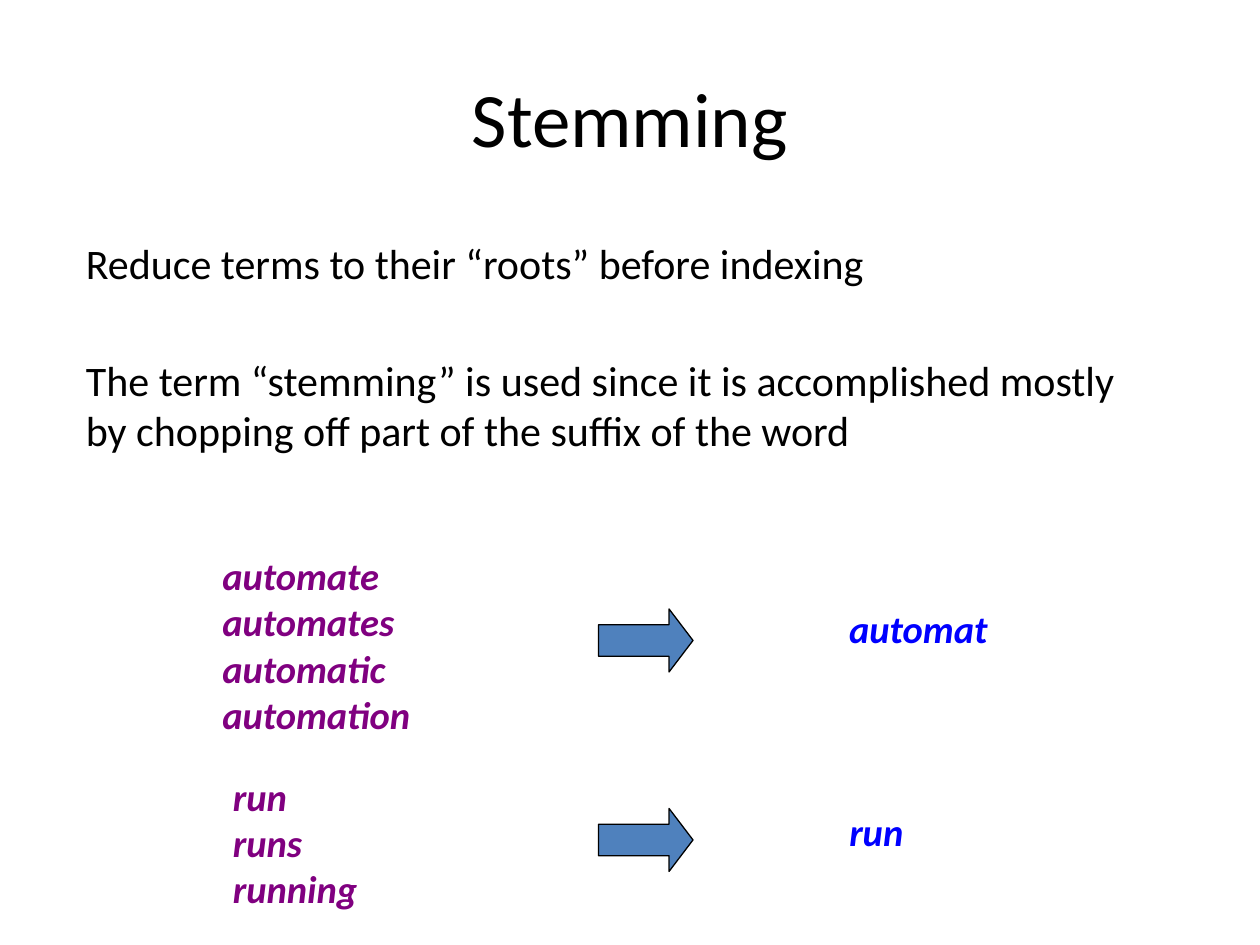
from pptx import Presentation
from pptx.dml.color import RGBColor
from pptx.enum.shapes import MSO_SHAPE
from pptx.enum.text import MSO_ANCHOR, PP_ALIGN
from pptx.util import Inches, Pt

RIGHT_ARROW = MSO_SHAPE.RIGHT_ARROW
LEFT, CENTER = PP_ALIGN.LEFT, PP_ALIGN.CENTER
TOP, MIDDLE = MSO_ANCHOR.TOP, MSO_ANCHOR.MIDDLE

FONT = "Calibri"
COLORS = {
    "text": "000000",
    "variant": "800080",
    "stem": "0000FF",
    "arrow": "4F81BD",
    "outline": "000000",
}
WIDTH, HEIGHT = Inches(10), Inches(7.5)
COLUMNS, ROWS = 120, 90

STATEMENTS = [
    "Reduce terms to their “roots” before indexing",
    "The term “stemming” is used since it is accomplished mostly "
    "by chopping off part of the suffix of the word",
]
EXAMPLES = [
    {
        "variants": ["automate", "automates", "automatic", "automation"],
        "variants_area": (20, 52, 24, 18.8),
        "arrow_row": 58,
        "stem": "automat",
        "stem_area": (79.7, 57, 18.2, 5.6),
    },
    {
        "variants": ["run", "runs", "running"],
        "variants_area": (21, 73, 17.4, 14.4),
        "arrow_row": 77,
        "stem": "run",
        "stem_area": (79.7, 76.4, 9, 5.6),
    },
]


def color(name):
    """Return the named colour."""
    return RGBColor.from_string(COLORS[name])


def place(column, row, columns, rows):
    """Turn a grid area into left, top, width and height."""
    cell_width, cell_height = WIDTH / COLUMNS, HEIGHT / ROWS
    return (
        int(column * cell_width),
        int(row * cell_height),
        int(columns * cell_width),
        int(rows * cell_height),
    )


def add_text(slide, lines, area, *, size, ink="text", emphasis=False,
             align=LEFT, anchor=TOP, gap=0):
    """Add one paragraph per line in a grid area."""
    frame = slide.shapes.add_textbox(*place(*area)).text_frame
    frame.word_wrap = True
    frame.vertical_anchor = anchor
    for index, line in enumerate(lines):
        paragraph = frame.paragraphs[0] if index == 0 else frame.add_paragraph()
        paragraph.alignment = align
        paragraph.space_before = Pt(gap if index else 0)
        run = paragraph.add_run()
        run.text = line
        run.font.name = FONT
        run.font.size = Pt(size)
        run.font.bold = run.font.italic = emphasis
        run.font.color.rgb = color(ink)


def add_arrow(slide, area):
    """Add an outlined block arrow pointing from variants to stem."""
    arrow = slide.shapes.add_shape(RIGHT_ARROW, *place(*area))
    arrow.adjustments[0] = 0.5
    arrow.adjustments[1] = 0.38
    arrow.shadow.inherit = False
    arrow.fill.solid()
    arrow.fill.fore_color.rgb = color("arrow")
    arrow.line.color.rgb = color("outline")
    arrow.line.width = Pt(0.75)


def add_example(slide, example):
    """Add word variants, an arrow and their common stem."""
    add_text(slide, example["variants"], example["variants_area"],
             size=22, ink="variant", emphasis=True)
    add_arrow(slide, (57, example["arrow_row"], 9, 6))
    add_text(slide, [example["stem"]], example["stem_area"],
             size=22, ink="stem", emphasis=True)


def main():
    """Build the stemming slide and save it."""
    deck = Presentation()
    deck.slide_width, deck.slide_height = WIDTH, HEIGHT
    slide = deck.slides.add_slide(deck.slide_layouts[6])
    add_text(slide, ["Stemming"], (6, 3.6, 108, 15),
             size=44, align=CENTER, anchor=MIDDLE)
    add_text(slide, STATEMENTS, (7, 22, 102, 30), size=24, gap=38)
    for example in EXAMPLES:
        add_example(slide, example)
    deck.save("out.pptx")


if __name__ == "__main__":
    main()
